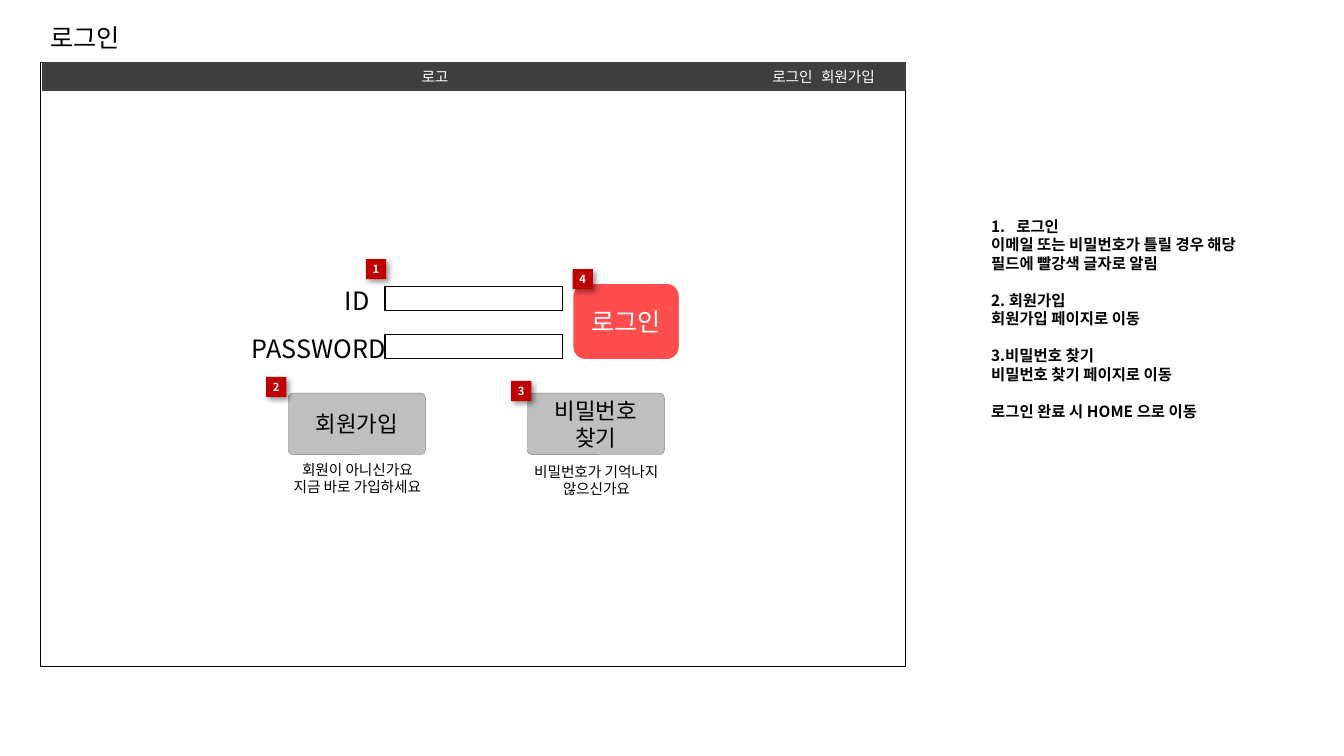
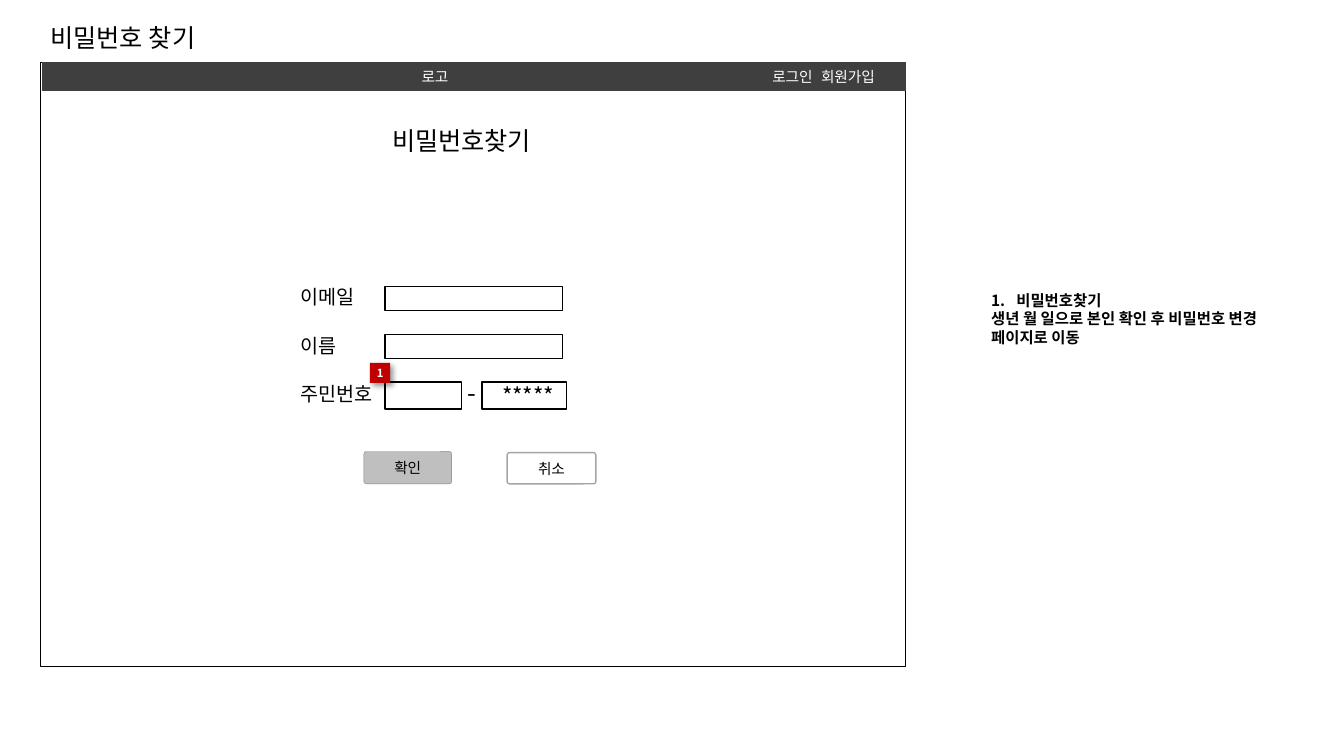
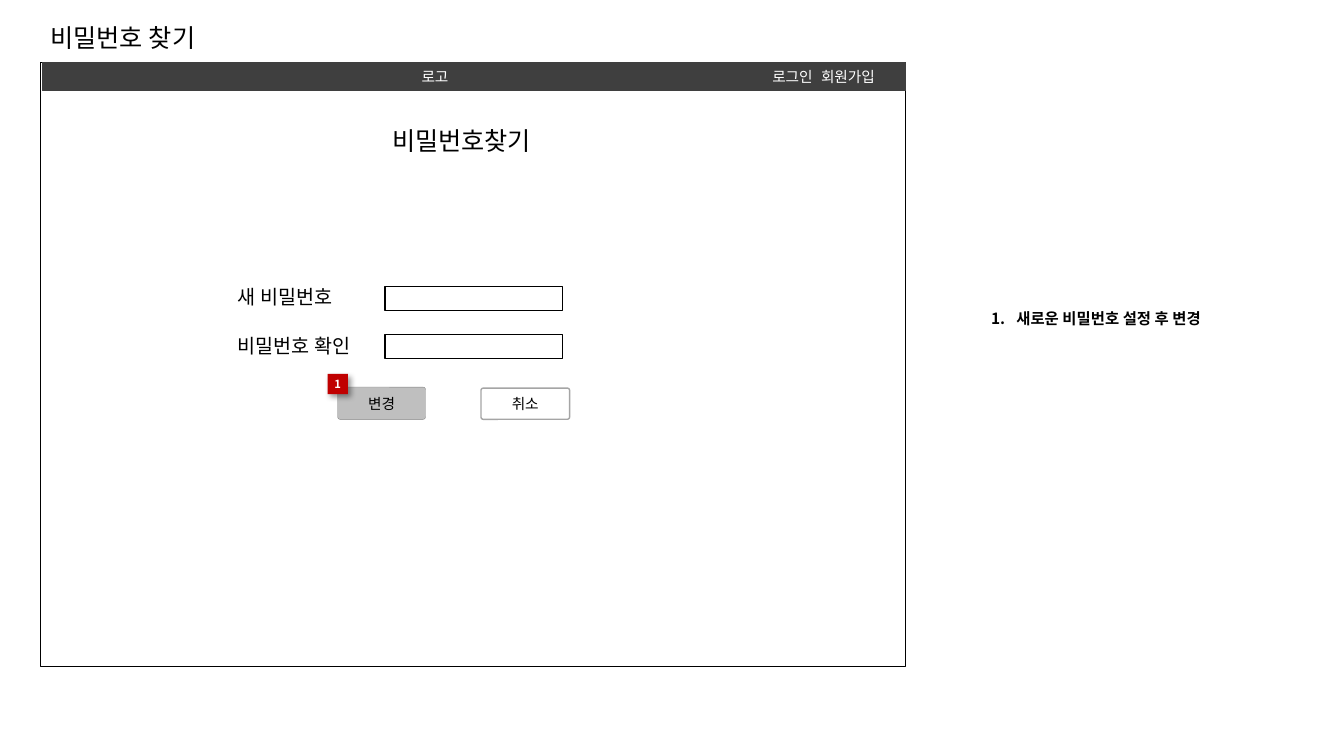
from dataclasses import dataclass

from lxml import etree
from pptx import Presentation
from pptx.dml.color import RGBColor
from pptx.enum.shapes import MSO_SHAPE
from pptx.enum.text import MSO_ANCHOR, MSO_AUTO_SIZE, PP_ALIGN
from pptx.oxml.ns import qn
from pptx.util import Inches, Pt

RECT, ROUND = MSO_SHAPE.RECTANGLE, MSO_SHAPE.ROUNDED_RECTANGLE
TOP, MIDDLE = MSO_ANCHOR.TOP, MSO_ANCHOR.MIDDLE
LEFT, CENTER = PP_ALIGN.LEFT, PP_ALIGN.CENTER


@dataclass(frozen=True)
class Theme:
    font: str = "Noto Sans CJK KR"
    black: str = "000000"
    white: str = "FFFFFF"
    bar: str = "3F3F3F"
    gray: str = "BFBFBF"
    gray_line: str = "808080"
    cancel_line: str = "A5A5A5"
    red: str = "FF0000"
    badge: str = "C00000"
    title: float = 18
    button: float = 16
    label: float = 14
    note: float = 11
    small: float = 10.5
    tiny: float = 8


T = Theme()

# Boxes: left, top, width, height
TITLE = (0.4, 0.17, 2.46, 0.4)
SCREEN = (0.4, 0.62, 8.58, 5.99)
NOTES = (9.83, 2.09, 2.71, 2.14)

# Form grid inside the screen
FIELD_X, FIELD_Y, FIELD_W, FIELD_H = 3.42, 2.22, 1.76, 0.24
ROW_STEP = 0.48


def rgb(code):
    return RGBColor.from_string(code)


def add_xml(parent, tag, **attrs):
    return etree.SubElement(parent, qn(tag), attrs)


def style(p, size, color=T.black, bold=False, align=LEFT):
    """Format one paragraph, Latin and East Asian text alike."""
    p.alignment = align
    f = p.font
    f.name, f.size, f.bold = T.font, Pt(size), bold
    f.color.rgb = rgb(color)
    add_xml(p._p.pPr.find(qn("a:defRPr")), "a:ea", typeface=T.font)


def write(tf, lines, size, color=T.black, bold=False, align=LEFT,
          anchor=TOP, inset=(0.1, 0.05), wrap=True):
    tf.word_wrap, tf.vertical_anchor = wrap, anchor
    tf.margin_left = tf.margin_right = Inches(inset[0])
    tf.margin_top = tf.margin_bottom = Inches(inset[1])
    for i, line in enumerate(lines.split("\n")):
        p = tf.add_paragraph() if i else tf.paragraphs[0]
        p.text = line
        style(p, size, color, bold, align)


class Region:
    """Places parts relative to the corner of a box on a slide."""

    def __init__(self, s, box):
        self.shapes = s.shapes
        self.left, self.top, self.width, self.height = box

    def place(self, x, y, w, h):
        return [Inches(v) for v in (self.left + x, self.top + y, w, h)]

    def shape(self, x, y, w, h, fill, line=None, weight=1, kind=RECT):
        sp = self.shapes.add_shape(kind, *self.place(x, y, w, h))
        sp.shadow.inherit = False
        sp.fill.solid()
        sp.fill.fore_color.rgb = rgb(fill)
        if line:
            sp.line.color.rgb, sp.line.width = rgb(line), Pt(weight)
        else:
            sp.line.fill.background()
        return sp

    def text(self, x, y, w, h, lines, size, **options):
        sp = self.shapes.add_textbox(*self.place(x, y, w, h))
        write(sp.text_frame, lines, size, **options)
        return sp

    def field(self, x, y, w=FIELD_W, h=FIELD_H):
        return self.shape(x, y, w, h, T.white, T.black)

    def button(self, x, y, w, h, lines, size, fill=T.gray,
               line=T.gray_line, weight=0.25):
        sp = self.shape(x, y, w, h, fill, line, weight, ROUND)
        sp.adjustments[0] = 0.075
        write(sp.text_frame, lines, size, align=CENTER, anchor=MIDDLE,
              inset=(0, 0.05))

    def badge(self, x, y, number):
        sp = self.shape(x, y, 0.2, 0.2, T.badge)
        effects = sp._element.spPr.find(qn("a:effectLst"))
        shadow = add_xml(effects, "a:outerShdw", blurRad=str(Pt(4)),
                         dist=str(Pt(3)), dir="2700000", algn="tl",
                         rotWithShape="0")
        color = add_xml(shadow, "a:srgbClr", val=T.black)
        add_xml(color, "a:alpha", val="40000")
        write(sp.text_frame, str(number), T.tiny, T.white, True, CENTER,
              MIDDLE, (0, 0), wrap=False)


def add_title(s, text):
    sp = s.shapes.title
    sp.left, sp.top, sp.width, sp.height = [Inches(v) for v in TITLE]
    write(sp.text_frame, text, T.title)
    sp.text_frame.auto_size = MSO_AUTO_SIZE.NONE


def add_screen(s, box):
    """Window outline with its menu bar."""
    screen = Region(s, box)
    screen.shape(0, 0, screen.width, screen.height, T.white, T.black)
    screen.shape(0.02, 0, screen.width - 0.02, 0.28, T.bar, T.bar)
    for x, w, item in ((3.56, 0.71, "로고"), (7.16, 0.6, "로그인"),
                       (7.71, 0.6, "회원가입")):
        screen.text(x, 0, w, 0.28, item, T.small, color=T.white,
                    align=CENTER, anchor=MIDDLE, inset=(0, 0))
    return screen


def add_notes(s, box, groups):
    """Groups of bold lines; the first line is numbered automatically."""
    notes = Region(s, box)
    sp = notes.text(0, 0, notes.width, notes.height,
                    "\n".join("\n".join(g) for g in groups), T.note,
                    bold=True, anchor=MIDDLE, inset=(0, 0))
    paragraphs = sp.text_frame.paragraphs
    start = 0
    for group in groups:
        if start:
            paragraphs[start].space_before = Pt(13.2)
        start += len(group)
    pPr = paragraphs[0]._p.pPr
    pPr.set("marL", str(Inches(0.25)))
    pPr.set("indent", str(Inches(-0.25)))
    number = etree.Element(qn("a:buAutoNum"), type="arabicPeriod")
    pPr.find(qn("a:defRPr")).addprevious(number)


def add_rows(screen, labels, size, fields=2):
    """Labels, each with its x, beside a column of input fields."""
    for i, (x, label) in enumerate(labels):
        y = FIELD_Y + i * ROW_STEP
        screen.text(x, y - 0.06, 1.68, 0.4, label, size)
        if i < fields:
            screen.field(FIELD_X, y)


def add_button_pair(screen, x, y, action):
    screen.button(x, y, 0.87, 0.32, action, T.small)
    screen.button(x + 1.42, y + 0.01, 0.88, 0.31, "취소", T.small,
                  T.white, T.cancel_line, 1)


def start_slide(prs, title, notes):
    s = prs.slides.add_slide(prs.slide_layouts[5])
    add_title(s, title)
    screen = add_screen(s, SCREEN)
    add_notes(s, NOTES, notes)
    return screen


def login_slide(prs):
    screen = start_slide(prs, "로그인", [
        ["로그인", "이메일 또는 비밀번호가 틀릴 경우 해당 필드에 빨강색 글자로 알림"],
        ["2. 회원가입", "회원가입 페이지로 이동"],
        ["3.비밀번호 찾기", "비밀번호 찾기 페이지로 이동"],
        ["로그인 완료 시 HOME 으로 이동"]])
    add_rows(screen, [(2.92, "ID"), (2, "PASSWORD")], T.title)

    # Translucent login button
    login = screen.shape(5.28, 2.19, 1.06, 0.76, T.red, T.white, kind=ROUND)
    color = login._element.spPr.find(qn("a:solidFill"))[0]
    add_xml(color, "a:alpha", val="70000")
    write(login.text_frame, "로그인", T.title, T.white, align=CENTER,
          anchor=MIDDLE)

    # Links to the other pages, with hints below
    links = ((2.46, "회원가입", 3.9, "회원이 아니신가요\n지금 바로 가입하세요"),
             (4.83, "비밀번호\n찾기", 3.92, "비밀번호가 기억나지\n않으신가요"))
    for x, name, hint_y, hint in links:
        screen.button(x, 3.28, 1.36, 0.61, name, T.button)
        screen.text(x - 0.22, hint_y, 1.81, 0.45, hint, T.small, align=CENTER)

    badges = ((3.23, 1.95), (2.24, 3.12), (4.67, 3.16), (5.28, 2.05))
    for number, (x, y) in enumerate(badges, 1):
        screen.badge(x, y, number)


def password_slide(prs, notes, label_x, labels, button_at, action, badge_at):
    screen = start_slide(prs, "비밀번호 찾기", notes)
    screen.text(3.39, 0.57, 3.04, 0.4, "비밀번호찾기", T.title)
    add_rows(screen, [(label_x, label) for label in labels], T.label)
    add_button_pair(screen, *button_at, action)
    return screen, badge_at


def identity_slide(prs):
    screen, badge_at = password_slide(
        prs, [["비밀번호찾기", "생년 월 일으로 본인 확인 후 비밀번호 변경 페이지로 이동"]],
        2.48, ["이메일", "이름", "주민번호"], (3.21, 3.86), "확인", (3.27, 2.98))

    # Two-part identity number
    y = FIELD_Y + 2 * ROW_STEP - 0.01
    screen.field(FIELD_X, y, 0.76, 0.27)
    hidden = screen.field(4.38, y, 0.84, 0.27)
    write(hidden.text_frame, "*****", T.button, anchor=MIDDLE)
    hidden.text_frame.margin_left = Inches(0.2)
    screen.text(4.14, y - 0.1, 0.51, 0.4, "-", T.title)
    screen.badge(*badge_at, 1)


def new_password_slide(prs):
    screen, badge_at = password_slide(
        prs, [["새로운 비밀번호 설정 후 변경"]],
        1.86, ["새 비밀번호", "비밀번호 확인"], (2.95, 3.22), "변경", (2.85, 3.09))
    screen.badge(*badge_at, 1)


def main():
    prs = Presentation()
    prs.slide_width, prs.slide_height = Inches(13.33), Inches(7.5)
    login_slide(prs)
    identity_slide(prs)
    new_password_slide(prs)
    prs.save("out.pptx")


if __name__ == "__main__":
    main()
